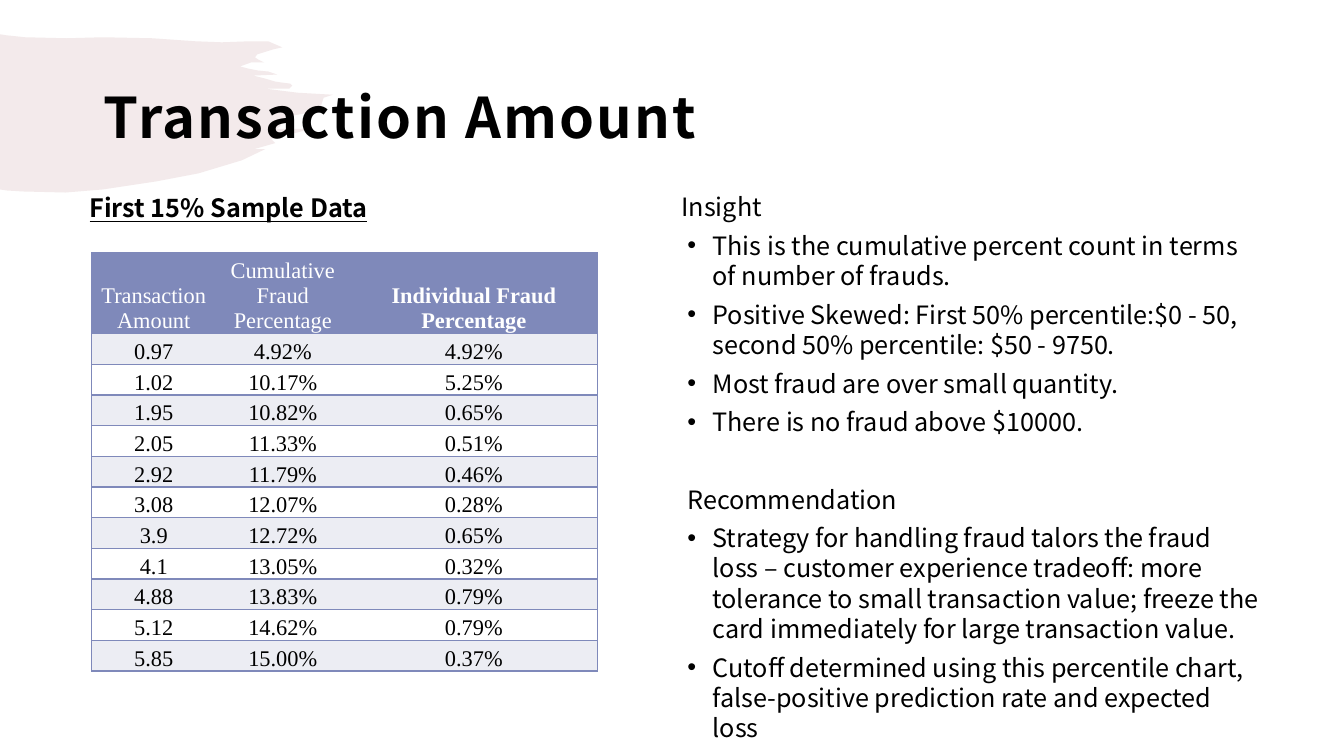
import pptx
import pptx.dml.color
import pptx.enum.dml
import pptx.enum.text
import pptx.oxml
import pptx.oxml.ns
import pptx.util
from lxml import etree

Inches = pptx.util.Inches
Pt = pptx.util.Pt
RGBColor = pptx.dml.color.RGBColor
qn = pptx.oxml.ns.qn

BLACK = RGBColor(0x00, 0x00, 0x00)
WHITE = RGBColor(0xFF, 0xFF, 0xFF)
ROSE = RGBColor(0xC6, 0x96, 0x9B)
PERIWINKLE = RGBColor(0x7F, 0x89, 0xBA)
PALE_BAND = RGBColor(0xEC, 0xED, 0xF3)
SANS = "Noto Sans CJK SC"
SERIF = "Times New Roman"

# Corners of the brush stroke, in inches from the top left of its box
BRUSH_OUTLINE = [
    (0, 0), (0.06, 0.01), (0.25, 0.03), (0.66, 0.04), (1.02, 0.03), (1.51, 0.04),
    (1.94, 0.07), (2.2, 0.08), (2.48, 0.07), (2.66, 0.07), (2.8, 0.13), (2.71, 0.15),
    (2.55, 0.2), (2.53, 0.23), (2.56, 0.25), (2.62, 0.28), (2.49, 0.28), (2.38, 0.32),
    (2.46, 0.34), (2.56, 0.36), (2.66, 0.37), (2.75, 0.4), (2.51, 0.41), (2.63, 0.44),
    (2.73, 0.47), (2.8, 0.48), (2.88, 0.49), (2.9, 0.51), (2.87, 0.54), (2.84, 0.54),
    (2.63, 0.54), (2.95, 0.58), (3.3, 0.6), (3.21, 0.63), (3.18, 0.72), (3.07, 0.77),
    (3, 0.79), (2.83, 0.82), (2.8, 0.86), (2.78, 0.91), (2.74, 0.94), (3.08, 0.94),
    (2.89, 0.99), (2.69, 1.04), (2.73, 1.08), (2.52, 1.14), (2.63, 1.14), (2.4, 1.25),
    (1.97, 1.38), (1.55, 1.46), (1.02, 1.54), (0.65, 1.57), (0.23, 1.56),
    (0.07, 1.55), (0, 1.54),
]

TABLE_ROWS = [
    ("Transaction Amount", "Cumulative Fraud Percentage", "Individual Fraud Percentage"),
    ("0.97", "4.92%", "4.92%"),
    ("1.02", "10.17%", "5.25%"),
    ("1.95", "10.82%", "0.65%"),
    ("2.05", "11.33%", "0.51%"),
    ("2.92", "11.79%", "0.46%"),
    ("3.08", "12.07%", "0.28%"),
    ("3.9", "12.72%", "0.65%"),
    ("4.1", "13.05%", "0.32%"),
    ("4.88", "13.83%", "0.79%"),
    ("5.12", "14.62%", "0.79%"),
    ("5.85", "15.00%", "0.37%"),
]
COLUMN_WIDTHS = [1.23, 1.33, 2.46]
HEADER_HEIGHT = 0.75

INSIGHTS = [
    "This is the cumulative percent count in terms of number of frauds.",
    "Positive Skewed: First 50% percentile:$0 - 50, second 50% percentile: $50 - 9750.",
    "Most fraud are over small quantity.",
    "There is no fraud above $10000.",
]
RECOMMENDATIONS = [
    "Strategy for handling fraud talors the fraud loss – customer experience tradeoff: "
    "more tolerance to small transaction value; freeze the card immediately for large "
    "transaction value.",
    "Cutoff determined using this percentile chart, false-positive prediction rate and "
    "expected loss",
]


def add_brush_stroke(slide, left, top):
    points = [(Inches(left + x), Inches(top + y)) for x, y in BRUSH_OUTLINE]
    builder = slide.shapes.build_freeform(*points[0])
    builder.add_line_segments(points[1:], close=True)
    stroke = builder.convert_to_shape()
    stroke.shadow.inherit = False
    stroke.line.fill.background()
    stroke.fill.solid()
    stroke.fill.fore_color.rgb = ROSE
    color = stroke.fill._xPr.find(qn("a:solidFill"))[0]
    etree.SubElement(color, qn("a:alpha"), val="20000")


def add_text_box(slide, left, top, width, height):
    box = slide.shapes.add_textbox(Inches(left), Inches(top), Inches(width), Inches(height))
    box.text_frame.word_wrap = True
    return box.text_frame


def write(paragraph, text, size, font=SANS, color=BLACK, bold=False):
    paragraph.text = text
    paragraph.font.size = Pt(size)
    paragraph.font.name = font
    paragraph.font.color.rgb = color
    paragraph.font.bold = bold


def add_title(slide, left, top, width, height):
    frame = add_text_box(slide, left, top, width, height)
    frame.vertical_anchor = pptx.enum.text.MSO_ANCHOR.MIDDLE
    frame.margin_left = frame.margin_right = frame.margin_top = Inches(0.12)
    frame.margin_bottom = Inches(0.1)
    paragraph = frame.paragraphs[0]
    write(paragraph, "Transaction Amount", 40, bold=True)
    paragraph.line_spacing = 1.05
    paragraph.runs[0]._r.get_or_add_rPr().set("spc", "150")


def add_table_heading(slide, left, top, width, height):
    paragraph = add_text_box(slide, left, top, width, height).paragraphs[0]
    write(paragraph, "First 15% Sample Data", 18, bold=True)
    paragraph.font.underline = True


def set_cell_borders(cell, visible_edges):
    """Draw the named edges (L, R, T, B) and clear the others."""
    properties = cell._tc.get_or_add_tcPr()
    for index, edge in enumerate("LRTB"):
        line = etree.Element(qn(f"a:ln{edge}"), w=str(Pt(1)))
        if edge in visible_edges:
            fill = etree.SubElement(line, qn("a:solidFill"))
            etree.SubElement(fill, qn("a:srgbClr"), val=str(PERIWINKLE))
        else:
            etree.SubElement(line, qn("a:noFill"))
        properties.insert(index, line)


def add_fraud_table(slide, left, top, width, height):
    table = slide.shapes.add_table(
        len(TABLE_ROWS), len(COLUMN_WIDTHS),
        Inches(left), Inches(top), Inches(width), Inches(height)).table
    for column, column_width in zip(table.columns, COLUMN_WIDTHS):
        column.width = Inches(column_width)
    body_height = (height - HEADER_HEIGHT) / (len(TABLE_ROWS) - 1)
    last_column = len(COLUMN_WIDTHS) - 1

    for row_index, values in enumerate(TABLE_ROWS):
        is_header = row_index == 0
        table.rows[row_index].height = Inches(HEADER_HEIGHT if is_header else body_height)
        band = PALE_BAND if row_index % 2 else WHITE
        for column_index, value in enumerate(values):
            cell = table.cell(row_index, column_index)
            cell.margin_left = cell.margin_right = cell.margin_top = cell.margin_bottom = 0
            cell.vertical_anchor = pptx.enum.text.MSO_ANCHOR.BOTTOM
            cell.fill.solid()
            cell.fill.fore_color.rgb = PERIWINKLE if is_header else band
            paragraph = cell.text_frame.paragraphs[0]
            write(paragraph, value, 16, SERIF, WHITE if is_header else BLACK,
                  bold=is_header and column_index == last_column)
            paragraph.alignment = pptx.enum.text.PP_ALIGN.CENTER
            sides = {0: "L", last_column: "R"}.get(column_index, "")
            set_cell_borders(cell, "TB" + sides)


def indent(paragraph, margin, hanging=0, bullet=None):
    properties = paragraph._p.get_or_add_pPr()
    properties.set("marL", str(Inches(margin)))
    properties.set("indent", str(-Inches(hanging)))
    if bullet:
        font = etree.Element(qn("a:buFont"), typeface="Arial")
        character = etree.Element(qn("a:buChar"), char=bullet)
        position = properties.find(qn("a:defRPr"))
        position.addprevious(font)
        position.addprevious(character)


def add_findings(slide, left, top, width, height):
    frame = add_text_box(slide, left, top, width, height)
    sections = [("Insight", 0, 0, INSIGHTS), ("Recommendation", 0.06, 27.6, RECOMMENDATIONS)]
    paragraph = frame.paragraphs[0]
    for heading, margin, space_before, points in sections:
        if space_before:
            paragraph = frame.add_paragraph()
        write(paragraph, heading, 18)
        paragraph.space_before = Pt(space_before)
        paragraph.space_after = Pt(6)
        indent(paragraph, margin)
        for point in points:
            paragraph = frame.add_paragraph()
            write(paragraph, point, 18)
            paragraph.space_after = Pt(6)
            indent(paragraph, 0.31, 0.25, "•")


def main():
    presentation = pptx.Presentation()
    presentation.slide_width = Inches(13.33)
    presentation.slide_height = Inches(7.5)
    slide = presentation.slides.add_slide(presentation.slide_layouts[6])
    add_brush_stroke(slide, 0, 0.34)
    add_title(slide, 0.91, 0.4, 11.5, 1.45)
    add_fraud_table(slide, 0.91, 2.51, 5.02, 4.1)
    add_table_heading(slide, 0.79, 1.86, 3.24, 0.41)
    add_findings(slide, 6.66, 1.85, 5.96, 1.57)
    presentation.save("out.pptx")


if __name__ == "__main__":
    main()
